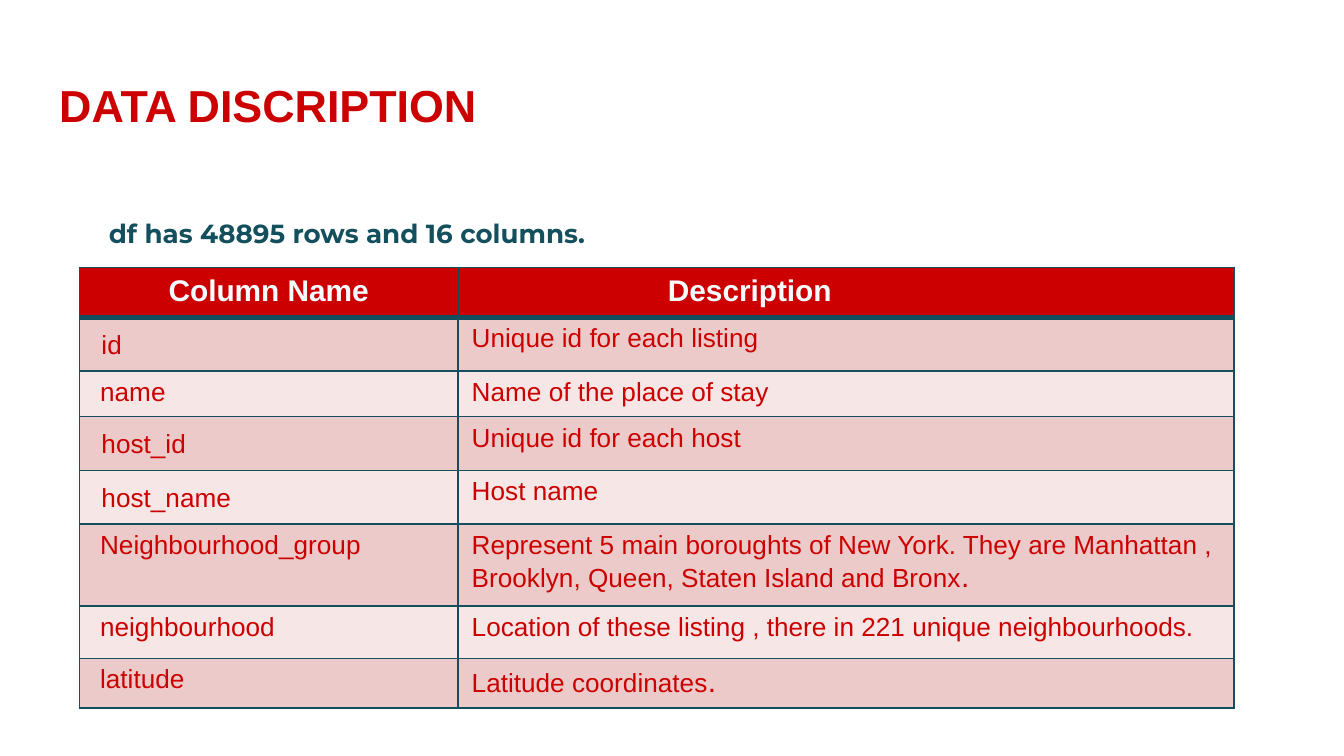
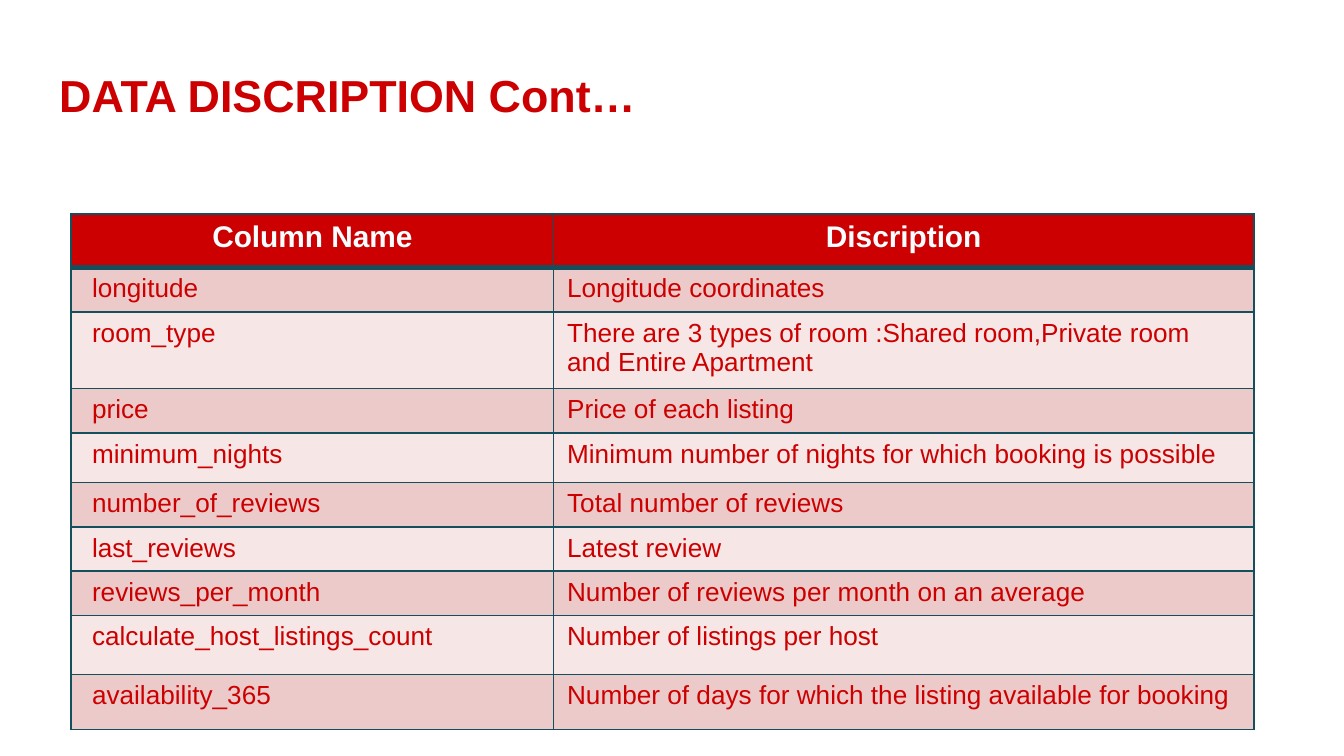
from dataclasses import dataclass
from typing import NamedTuple

from pptx import Presentation
from pptx import util as u
from pptx.dml.color import RGBColor
from pptx.enum import text as t
from pptx.oxml.ns import qn
from lxml import etree


@dataclass(frozen=True)
class Theme:
    red: str = "CC0000"
    teal: str = "134F5C"
    pale: str = "F5FDFF"
    bands: tuple[str, str] = ("ECCACA", "F6E6E6")
    sans: str = "Arial"
    accent: str = "Montserrat"
    title: int = 24
    head: int = 16
    body: int = 14
    thin: int = 1
    thick: int = 3


class Box(NamedTuple):
    left: float
    top: float
    width: float
    height: float


class Font(NamedTuple):
    face: str
    size: int
    color: str
    bold: bool = False


class Pad(NamedTuple):
    left: float = 1
    top: float = 0.5


class Row(NamedTuple):
    name: str
    about: str
    height: float
    drop: bool = False
    stop: str = ""


class Grid(NamedTuple):
    left: float
    top: float
    cols: tuple[float, float]
    label: str
    height: float
    inset: float
    align: t.PP_ALIGN
    rows: tuple[Row, ...]


class Page(NamedTuple):
    title: str
    place: Box
    note: str
    grid: Grid


THEME = Theme()
WIDTH = u.Inches(10)
HEIGHT = WIDTH * 9 // 16
UNIT = WIDTH // 100
NOTE = Box(3.4, 11.5, 93.2, 42.8)
TITLE = Font(THEME.sans, THEME.title, THEME.red, True)
LEAD = Font(THEME.accent, THEME.body, THEME.teal, True)
HEAD = Font(THEME.sans, THEME.head, THEME.pale, True)
PLAIN = Font(THEME.sans, THEME.body, THEME.red)
STOP = Font(THEME.sans, THEME.head, THEME.red)
LEFT, MID = t.PP_ALIGN.LEFT, t.PP_ALIGN.CENTER

PAGES = (
    Page("DATA DISCRIPTION", Box(3.4, 4.8, 68.8, 4.8),
         "df has 48895 rows and 16 columns.",
         Grid(5.9, 19.9, (28.2, 57.7), "Description", 3.7, 15.6, LEFT, (
             Row("id", "Unique id for each listing", 4, True),
             Row("name", "Name of the place of stay", 3.4),
             Row("host_id", "Unique id for each host", 4, True),
             Row("host_name", "Host name", 4, True),
             Row("Neighbourhood_group",
                 "Represent 5 main boroughts of New York. They are Manhattan , "
                 "Brooklyn, Queen, Staten Island and Bronx", 6.1, stop="."),
             Row("neighbourhood",
                 "Location of these listing , there in 221 unique neighbourhoods.", 3.9),
             Row("latitude", "Latitude coordinates", 3.7, stop="."),
         ))),
    Page("DATA DISCRIPTION Cont…", Box(3.4, 4, 93.2, 5.7), "",
         Grid(5.3, 15.9, (35.9, 52.1), "Discription", 4, 1, MID, (
             Row("longitude", "Longitude coordinates", 3.3),
             Row("room_type",
                 "There are 3 types of room :Shared room,Private room "
                 "and Entire Apartment", 5.7),
             Row("price", "Price of each listing", 3.3),
             Row("minimum_nights",
                 "Minimum number of nights for which booking is possible", 3.7),
             Row("number_of_reviews", "Total number of reviews", 3.3),
             Row("last_reviews", "Latest review", 3.3),
             Row("reviews_per_month", "Number of reviews per month on an average", 3.3),
             Row("calculate_host_listings_count", "Number of listings per host", 4.4),
             Row("availability_365",
                 "Number of days for which the listing available for booking", 4.1),
         ))),
)


def span(count: float) -> u.Emu:
    return u.Emu(round(count * UNIT))


def write(para, words: str, font: Font) -> None:
    run = para.add_run()
    run.text = words
    run.font.name = font.face
    run.font.size = u.Pt(font.size)
    run.font.bold = font.bold
    run.font.color.rgb = RGBColor.from_string(font.color)


def fit(shape, box: Box, top: float):
    shape.left, shape.top, shape.width, shape.height = map(span, box)
    frame = shape.text_frame
    frame.word_wrap = True
    frame.auto_size = t.MSO_AUTO_SIZE.NONE
    frame.vertical_anchor = t.MSO_ANCHOR.TOP
    frame.margin_left = frame.margin_right = frame.margin_bottom = span(1)
    frame.margin_top = span(top)
    para = frame.paragraphs[0]
    para.alignment = LEFT
    para.space_before = u.Pt(0)
    return para


def lead(shape, words: str) -> None:
    para = fit(shape, NOTE, 4.3)
    para.line_spacing = 1.15
    props = para._p.get_or_add_pPr()
    props.set("marL", str(span(3.7)))
    props.set("indent", "0")
    etree.SubElement(props, qn("a:buNone"))
    write(para, words, LEAD)


def edge(cell, tag: str, width: int) -> None:
    line = etree.SubElement(cell._tc.get_or_add_tcPr(), qn(f"a:{tag}"),
                            w=str(u.Pt(width)))
    fill = etree.SubElement(line, qn("a:solidFill"))
    etree.SubElement(fill, qn("a:srgbClr"), val=THEME.teal)


def dress(cell, color: str, pad: Pad, upper: int, lower: int):
    cell.margin_left, cell.margin_top = map(span, pad)
    cell.margin_right, cell.margin_bottom = span(1), span(0.5)
    cell.vertical_anchor = t.MSO_ANCHOR.TOP
    thin = THEME.thin
    for tag, width in (("lnL", thin), ("lnR", thin), ("lnT", upper), ("lnB", lower)):
        edge(cell, tag, width)
    cell.fill.solid()
    cell.fill.fore_color.rgb = RGBColor.from_string(color)
    return cell.text_frame.paragraphs[0]


def draw(slide, grid: Grid) -> None:
    highs = (grid.height, *(row.height for row in grid.rows))
    box = Box(grid.left, grid.top, sum(grid.cols), sum(highs))
    table = slide.shapes.add_table(len(highs), 2, *map(span, box)).table
    for col, width in zip(table.columns, grid.cols):
        col.width = span(width)
    for line, high in zip(table.rows, highs):
        line.height = span(high)
    thin, thick = THEME.thin, THEME.thick
    heads = (("Column Name", Pad(), MID), (grid.label, Pad(grid.inset), grid.align))
    for col, (words, pad, align) in enumerate(heads):
        para = dress(table.cell(0, col), THEME.red, pad, thin, thick)
        para.alignment = align
        write(para, words, HEAD)
    for i, row in enumerate(grid.rows):
        color = THEME.bands[i % 2]
        upper = thin if i else thick
        pad = Pad(1.65, 1) if row.drop else Pad(1.55)
        write(dress(table.cell(i + 1, 0), color, pad, upper, thin), row.name, PLAIN)
        para = dress(table.cell(i + 1, 1), color, Pad(), upper, thin)
        write(para, row.about, PLAIN)
        if row.stop:
            write(para, row.stop, STOP)


def main() -> None:
    deck = Presentation()
    deck.slide_width, deck.slide_height = WIDTH, HEIGHT
    for page in PAGES:
        slide = deck.slides.add_slide(deck.slide_layouts[1 if page.note else 5])
        write(fit(slide.shapes.title, page.place, 1), page.title, TITLE)
        if page.note:
            lead(slide.placeholders[1], page.note)
        draw(slide, page.grid)
    deck.save("out.pptx")


if __name__ == "__main__":
    main()
